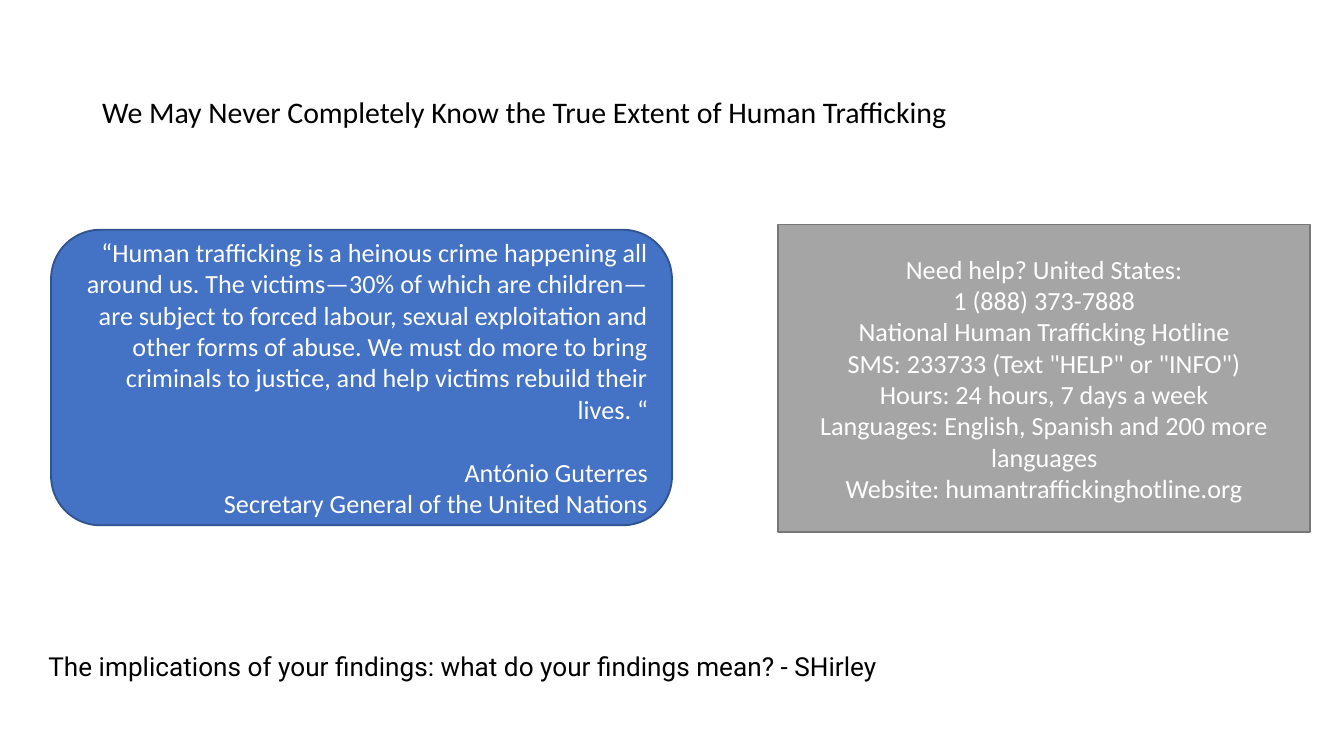
from dataclasses import dataclass

from pptx import Presentation
from pptx import util as u
from pptx.dml.color import RGBColor
from pptx.enum import shapes, text

# Widescreen, 16:9
WIDTH = u.Inches(10)
HEIGHT = WIDTH * 9 // 16


@dataclass(frozen=True)
class Theme:
    body_font: str = "Calibri"
    note_font: str = "Roboto"
    title_size: int = 16
    body_size: int = 14
    ink: str = "000000"
    paper: str = "FFFFFF"
    quote_fill: str = "4472C4"
    quote_line: str = "31538F"
    help_fill: str = "A5A5A5"
    help_line: str = "787878"


THEME = Theme()

QUOTE = [
    "“Human trafficking is a heinous crime happening all around us. "
    "The victims—30% of which are children—are subject to forced labour, "
    "sexual exploitation and other forms of abuse. We must do more to bring "
    "criminals to justice, and help victims rebuild their lives. “",
    "António Guterres",
    "Secretary General of the United Nations",
]
HELP = [
    "Need help? United States:",
    "1 (888) 373-7888",
    "National Human Trafficking Hotline",
    'SMS: 233733 (Text "HELP" or "INFO")',
    "Hours: 24 hours, 7 days a week",
    "Languages: English, Spanish and 200 more languages",
    "Website: humantraffickinghotline.org",
]


def place(box):
    """Turn percentages of the slide (left, top, width, height) into lengths."""
    return [u.Emu(round(share * side / 100)) for share, side in zip(box, (WIDTH, HEIGHT) * 2)]


def write(holder, lines, size, color, font=THEME.body_font,
          align=text.PP_ALIGN.LEFT, anchor=text.MSO_ANCHOR.MIDDLE):
    """Fill a shape with one paragraph per line and return the paragraphs."""
    frame = holder.text_frame
    frame.word_wrap = True
    frame.vertical_anchor = anchor
    frame.margin_left = frame.margin_right = u.Inches(0.07)
    frame.margin_top = frame.margin_bottom = u.Inches(0.04)
    frame.text = "\n".join(lines)
    for paragraph in frame.paragraphs:
        paragraph.alignment = align
        paragraph.font.name = font
        paragraph.font.size = u.Pt(size)
        paragraph.font.color.rgb = RGBColor.from_string(color)
    return frame.paragraphs


def add_panel(slide, box, outline, fill, line):
    panel = slide.shapes.add_shape(outline, *place(box))
    panel.shadow.inherit = False
    panel.fill.solid()
    panel.fill.fore_color.rgb = RGBColor.from_string(fill)
    panel.line.color.rgb = RGBColor.from_string(line)
    panel.line.width = u.Pt(1)
    return panel


def add_title(slide, box):
    title = slide.shapes.add_textbox(*place(box))
    heading = write(title, ["We May Never Completely Know the True Extent of Human Trafficking"],
                    THEME.title_size, THEME.ink)[0]
    heading.line_spacing = 0.9


def add_implications(slide, box):
    implications = slide.shapes.add_textbox(*place(box))
    write(implications, ["The implications of your findings: what do your findings mean? - SHirley"],
          THEME.body_size, THEME.ink, THEME.note_font, anchor=text.MSO_ANCHOR.TOP)


def add_help(slide, box):
    hotline = add_panel(slide, box, shapes.MSO_SHAPE.RECTANGLE,
                        THEME.help_fill, THEME.help_line)
    write(hotline, HELP, THEME.body_size, THEME.paper, align=text.PP_ALIGN.CENTER)


def add_quote(slide, box):
    quote = add_panel(slide, box, shapes.MSO_SHAPE.ROUNDED_RECTANGLE,
                      THEME.quote_fill, THEME.quote_line)
    _, speaker, _ = write(quote, QUOTE, THEME.body_size, THEME.paper,
                          align=text.PP_ALIGN.RIGHT)
    # One line of air between the quotation and its speaker
    speaker.space_before = u.Pt(1.2 * THEME.body_size)


def main():
    deck = Presentation()
    deck.slide_width, deck.slide_height = WIDTH, HEIGHT
    slide = deck.slides.add_slide(deck.slide_layouts[6])

    # Boxes are percentages of the slide: left, top, width, height
    add_title(slide, (6.9, 5.33, 86.2, 19.38))
    add_implications(slide, (2.9, 85.3, 81, 13.5))
    add_help(slide, (57.9, 29.7, 39.6, 40.7))
    add_quote(slide, (3.8, 30.4, 46.2, 39.1))

    deck.save("out.pptx")


if __name__ == "__main__":
    main()
